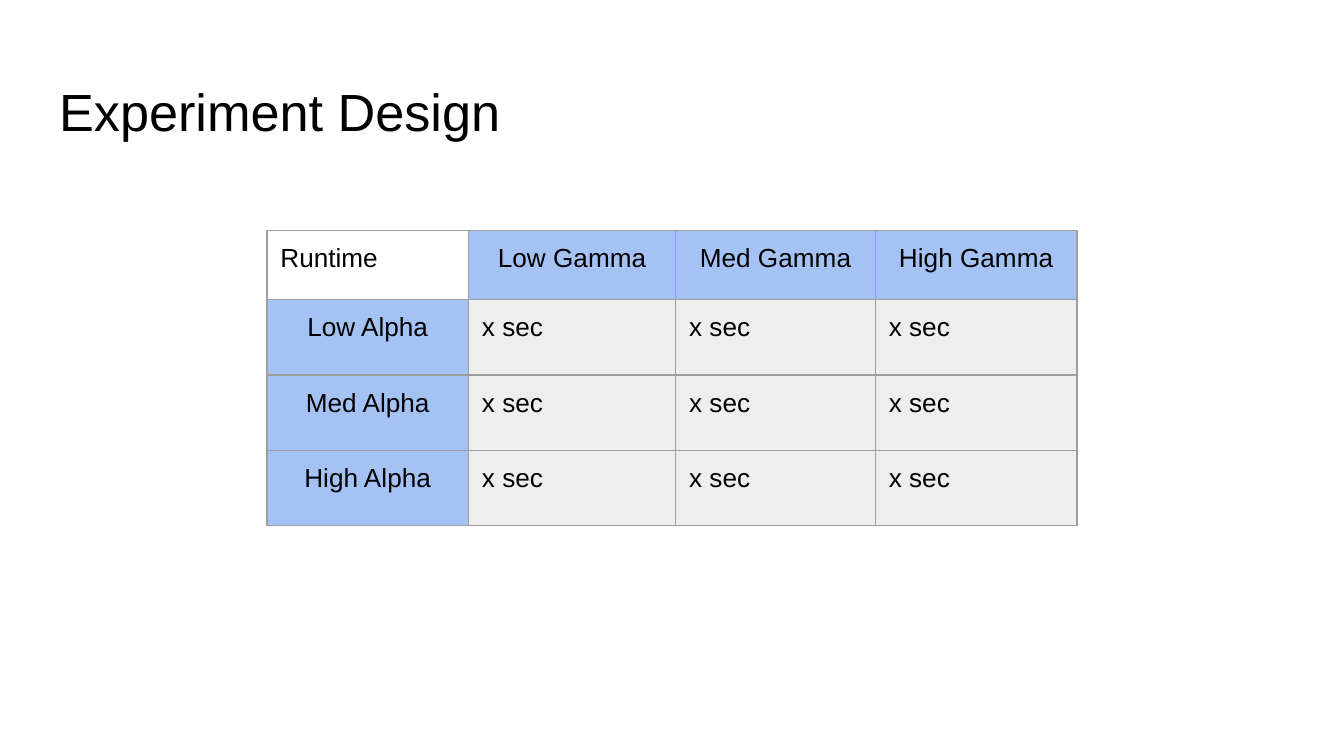
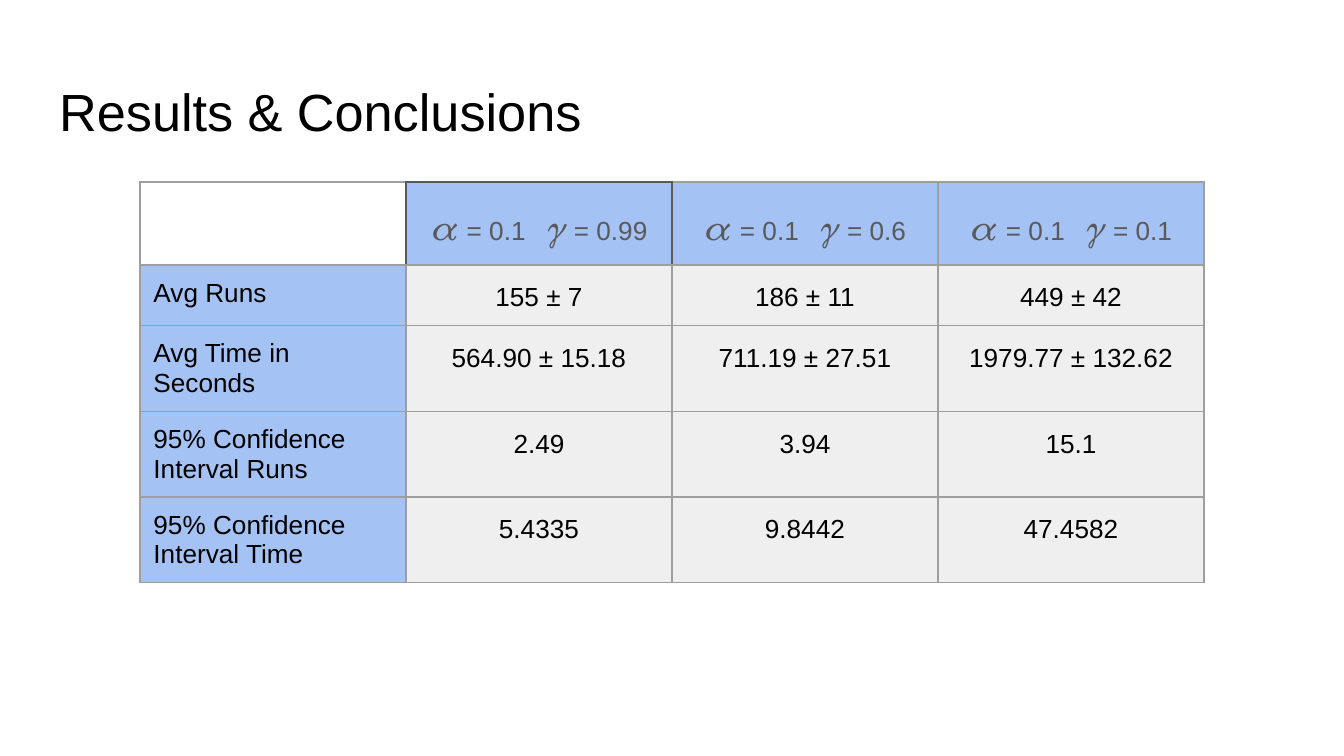
import pptx
import pptx.dml.color
import pptx.enum.text
import pptx.oxml
import pptx.oxml.ns
import pptx.util
from pptx.util import Pt

LEFT = pptx.enum.text.PP_ALIGN.LEFT
CENTER = pptx.enum.text.PP_ALIGN.CENTER

BLACK, WHITE = "000000", "FFFFFF"
HEADING_FILL = "A4C2F4"
GRID, DARK_GRAY = "9E9E9E", "595959"
INSET = Pt(7.2)
TITLE_ONLY = 5


def color(hex_string):
    return pptx.dml.color.RGBColor.from_string(hex_string)


def set_font(font, size, hex_color, name="Arial", italic=None):
    font.size = Pt(size)
    font.name = name
    font.color.rgb = color(hex_color)
    font.italic = italic


def set_insets(target):
    target.margin_left = target.margin_right = INSET
    target.margin_top = target.margin_bottom = INSET


def set_borders(cell, dark_sides):
    """Draw all four cell borders, the ones in dark_sides (of "LRTB") darker."""
    properties = cell._tc.get_or_add_tcPr()
    for position, side in enumerate("LRTB"):
        line_color = DARK_GRAY if side in dark_sides else GRID
        properties.insert(position, pptx.oxml.parse_xml(
            f'<a:ln{side} {pptx.oxml.ns.nsdecls("a")} w="{Pt(0.75)}">'
            f'<a:solidFill><a:srgbClr val="{line_color}"/></a:solidFill>'
            f'</a:ln{side}>'))


class Deck:
    def __init__(self):
        self.presentation = pptx.Presentation()
        self.presentation.slide_width = Pt(720)
        self.presentation.slide_height = Pt(405)
        self.slide = None

    def add_slide(self, title):
        layout = self.presentation.slide_layouts[TITLE_ONLY]
        self.slide = self.presentation.slides.add_slide(layout)
        self.slide.background.fill.solid()
        self.slide.background.fill.fore_color.rgb = color(WHITE)
        shape = self.slide.shapes.title
        shape.left, shape.top = Pt(24.5), Pt(35)
        shape.width, shape.height = Pt(671), Pt(45)
        frame = shape.text_frame
        frame.text = title
        frame.word_wrap = True
        frame.auto_size = pptx.enum.text.MSO_AUTO_SIZE.NONE
        frame.vertical_anchor = pptx.enum.text.MSO_ANCHOR.TOP
        set_insets(frame)
        paragraph = frame.paragraphs[0]
        paragraph.alignment = LEFT
        set_font(paragraph.font, 28, BLACK)

    def add_table(self, left, top, widths, heights, rows, value_fill,
                  label_alignment, value_alignment, value_spacing=None,
                  dark_sides=None):
        """Add a table with blue headings; a tuple (alpha, gamma) is a parameter cell."""
        table = self.slide.shapes.add_table(
            len(heights), len(widths), Pt(left), Pt(top),
            Pt(sum(widths)), Pt(sum(heights))).table
        table.first_row = table.horz_banding = False
        for column, width in zip(table.columns, widths):
            column.width = Pt(width)
        for row, height in zip(table.rows, heights):
            row.height = Pt(height)

        for row_index, row in enumerate(rows):
            for column_index, content in enumerate(row):
                cell = table.cell(row_index, column_index)
                is_corner = row_index == column_index == 0
                is_heading = row_index == 0 or column_index == 0
                if is_corner:
                    cell.fill.background()
                else:
                    cell.fill.solid()
                    cell.fill.fore_color.rgb = color(
                        HEADING_FILL if is_heading else value_fill)
                set_insets(cell)
                set_borders(cell, (dark_sides or {}).get((row_index, column_index), ""))

                paragraph = cell.text_frame.paragraphs[0]
                if is_corner:
                    paragraph.alignment = LEFT
                elif row_index == 0:
                    paragraph.alignment = CENTER
                else:
                    paragraph.alignment = value_alignment if column_index else label_alignment
                if column_index and value_spacing:
                    paragraph.line_spacing = value_spacing
                if isinstance(content, tuple):
                    self.add_parameters(paragraph, *content)
                else:
                    set_font(paragraph.font, 14, BLACK)
                    if content:
                        paragraph.add_run().text = content

    def add_parameters(self, paragraph, alpha, gamma):
        for symbol, value in (("α ", alpha), ("  γ ", gamma)):
            run = paragraph.add_run()
            run.text = symbol
            set_font(run.font, 18, DARK_GRAY, "TeX Gyre Schola", italic=True)
            run = paragraph.add_run()
            run.text = f"= {value}"
            set_font(run.font, 14, DARK_GRAY)


def main():
    deck = Deck()
    levels = ("Low", "Med", "High")

    deck.add_slide("Experiment Design")
    deck.add_table(
        143, 123.5, [108, 111, 107, 108], [37] + [40.4] * 3,
        [["Runtime"] + [f"{level} Gamma" for level in levels]]
        + [[f"{level} Alpha"] + ["x sec"] * 3 for level in levels],
        "EEEEEE", label_alignment=CENTER, value_alignment=LEFT)

    deck.add_slide("Results & Conclusions")
    deck.add_table(
        75, 97.5, [142.5] * 4, [44.5, 32.4] + [45.8] * 3,
        [
            ["", ("0.1", "0.99"), ("0.1", "0.6"), ("0.1", "0.1")],
            ["Avg Runs", "155 ± 7", "186 ± 11", "449 ± 42"],
            ["Avg Time in Seconds", "564.90 ± 15.18", "711.19 ± 27.51",
             "1979.77 ± 132.62"],
            ["95% Confidence Interval Runs", "2.49", "3.94", "15.1"],
            ["95% Confidence Interval Time", "5.4335", "9.8442", "47.4582"],
        ],
        "EFEFEF", label_alignment=LEFT, value_alignment=CENTER, value_spacing=1.15,
        dark_sides={(0, 0): "R", (0, 1): "LTR", (0, 2): "L"})

    deck.presentation.save("out.pptx")


if __name__ == "__main__":
    main()
